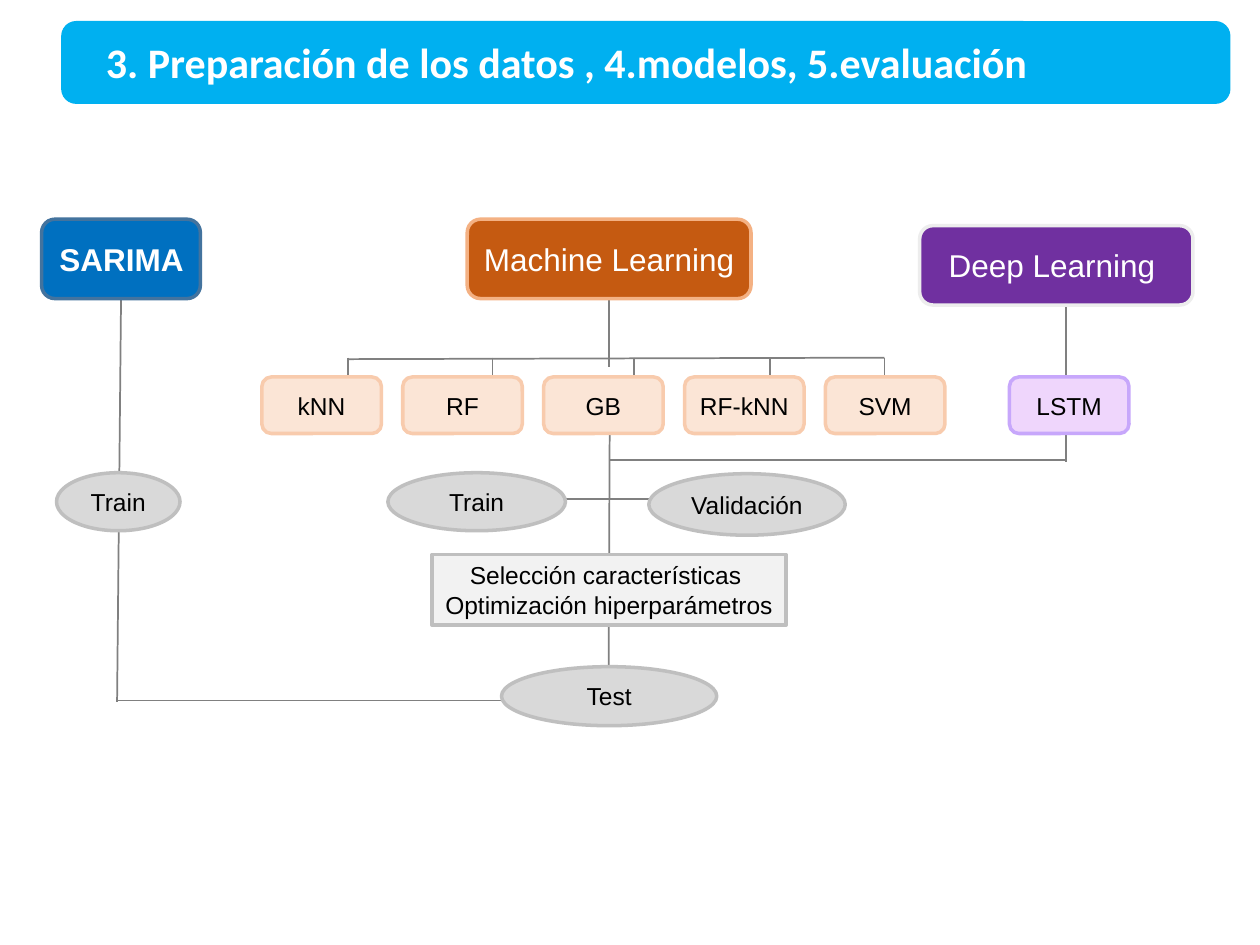
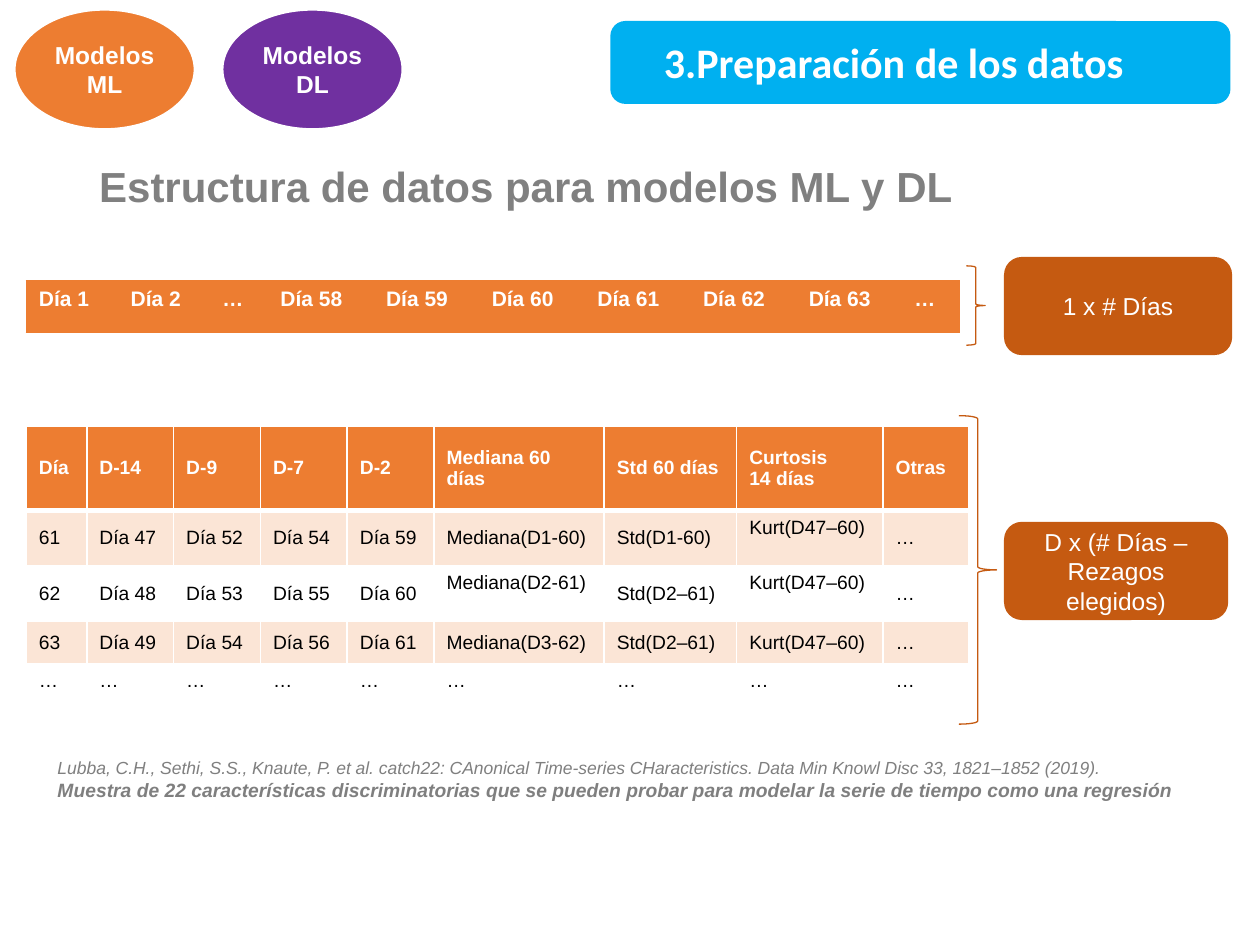
from lxml import etree
from pptx import Presentation
from pptx.dml.color import RGBColor
from pptx.enum.shapes import MSO_CONNECTOR, MSO_SHAPE as Shape
from pptx.enum.text import MSO_ANCHOR as Anchor, PP_ALIGN as Align
from pptx.oxml.ns import qn
from pptx.util import Cm, Pt

COLORS = {
    "band": "00B0F0", "white": "FFFFFF", "black": "000000",
    "heading": "808080", "connector": "808080", "source": "7F7F7F",
    "sarima": "0070C0", "sarima_edge": "43739E",
    "rust": "C55A11", "rust_edge": "F4B183",
    "purple": "7030A0", "purple_edge": "EDEDED",
    "peach": "FBE5D6", "peach_edge": "F8CBAD",
    "lilac": "EFD6FC", "lilac_edge": "C7A7FB",
    "oval": "D9D9D9", "gray_edge": "BFBFBF", "step": "F2F2F2",
    "orange": "ED7D31",
}
BAND_RIGHT = 24.77
TABLE_LEFT = 0.53

MODELS = ["kNN", "RF", "GB", "RF-kNN", "SVM"]
MODEL_LEFT, MODEL_STEP, MODEL_TOP = 5.28, 2.84, 7.6
MODEL_SIZE = (2.41, 1.14)
DROP_XS = [7.01, 9.93, 12.78, 15.52, 17.83]
BUS_Y = 7.21
TRUNK_X, LSTM_X = 12.27, 21.49

DAYS = ["Día 1", "Día 2", "…", "Día 58", "Día 59", "Día 60",
        "Día 61", "Día 62", "Día 63", "…"]
DAY_WIDTHS = [1.85, 1.85, 1.17] + [2.13] * 6 + [1.17]
FEATURES = [
    ["Día", "D-14", "D-9", "D-7", "D-2", "Mediana 60 días", "Std 60 días",
     "Curtosis\n14 días", "Otras"],
    ["61", "Día 47", "Día 52", "Día 54", "Día 59", "Mediana(D1-60)",
     "Std(D1-60)", "Kurt(D47–60)", "…"],
    ["62", "Día 48", "Día 53", "Día 55", "Día 60", "Mediana(D2-61)",
     "Std(D2–61)", "Kurt(D47–60)", "…"],
    ["63", "Día 49", "Día 54", "Día 56", "Día 61", "Mediana(D3-62)",
     "Std(D2–61)", "Kurt(D47–60)", "…"],
    ["…"] * 9,
]
FEATURE_WIDTHS = [1.22] + [1.75] * 4 + [3.43, 2.67, 2.95, 1.73]
FEATURE_HEIGHTS = [1.7, 1.12, 1.12, 0.85, 0.85]
TOP_CELLS = {(1, 7), (2, 5), (2, 7)}


def rgb(name):
    return RGBColor.from_string(COLORS[name])


def style_paragraph(para, size, color, bold=False, italic=False, font="Arial"):
    for span in para.runs:
        span.font.name = font
        span.font.size = Pt(size)
        span.font.bold = bold
        span.font.italic = italic
        span.font.color.rgb = rgb(color)


def write(frame, text, size, color, bold=False, align=Align.LEFT,
          font="Arial"):
    frame.text = text
    for para in frame.paragraphs:
        para.alignment = align
        style_paragraph(para, size, color, bold, font=font)


def add_box(slide, kind, place, fill=None, edge=None, edge_width=2):
    box = slide.shapes.add_shape(kind, *map(Cm, place))
    box.shadow.inherit = False
    if fill:
        box.fill.solid()
        box.fill.fore_color.rgb = rgb(fill)
    else:
        box.fill.background()
    if edge:
        box.line.color.rgb = rgb(edge)
        box.line.width = Pt(edge_width)
    else:
        box.line.fill.background()
    return box


def add_label(slide, kind, place, text, fill, edge=None, size=14,
              color="black", bold=False, margin=0.25):
    box = add_box(slide, kind, place, fill, edge)
    frame = box.text_frame
    frame.word_wrap = True
    frame.vertical_anchor = Anchor.MIDDLE
    frame.margin_left = frame.margin_right = Cm(margin)
    write(frame, text, size, color, bold, Align.CENTER)
    return box


def add_text(slide, place, text, size, color, bold=False):
    box = slide.shapes.add_textbox(*map(Cm, place))
    box.text_frame.word_wrap = True
    write(box.text_frame, text, size, color, bold)
    return box


def add_line(slide, x1, y1, x2, y2):
    line = slide.shapes.add_connector(
        MSO_CONNECTOR.STRAIGHT, Cm(x1), Cm(y1), Cm(x2), Cm(y2))
    line.line.color.rgb = rgb("connector")
    line.line.width = Pt(1)
    etree.SubElement(line._element.spPr, qn("a:effectLst"))


def add_brace(slide, place):
    brace = add_box(slide, Shape.RIGHT_BRACE, place, edge="rust",
                    edge_width=0.75)
    brace.adjustments[0] = 0.083


def add_size_tag(slide, place, text):
    tag = add_label(slide, Shape.ROUNDED_RECTANGLE, place, text, "rust",
                    color="white")
    tag.adjustments[0] = 0.182


def add_titled_slide(deck, title, band_left, title_left):
    slide = deck.slides.add_slide(deck.slide_layouts[5])
    band = add_box(slide, Shape.ROUNDED_RECTANGLE,
                   (band_left, 0.46, BAND_RIGHT - band_left, 1.6),
                   "band", "band")
    holder = slide.shapes.title
    band._element.addnext(holder._element)
    holder.left, holder.top = Cm(title_left), Cm(0.61)
    holder.width, holder.height = Cm(24.61 - title_left), Cm(1.27)
    holder.text_frame.vertical_anchor = Anchor.MIDDLE
    write(holder.text_frame, title, 24, "white", True, font="Calibri")
    return slide


def set_borders(cell, color, widths):
    properties = cell._tc.get_or_add_tcPr()
    for side, width in zip("LRTB", widths):
        line = etree.SubElement(properties, qn(f"a:ln{side}"),
                                w=str(Pt(width)))
        fill = etree.SubElement(line, qn("a:solidFill"))
        etree.SubElement(fill, qn("a:srgbClr"), val=COLORS[color])


def fill_cell(cell, text, fill, size, color, bold, anchor):
    cell.fill.solid()
    cell.fill.fore_color.rgb = rgb(fill)
    cell.vertical_anchor = anchor
    write(cell.text_frame, text, size, color, bold)


def add_grid(slide, top, widths, heights):
    frame = slide.shapes.add_table(
        len(heights), len(widths), Cm(TABLE_LEFT), Cm(top),
        Cm(sum(widths)), Cm(sum(heights)))
    table = frame.table
    table.horz_banding = False
    for column, width in zip(table.columns, widths):
        column.width = Cm(width)
    for row, height in zip(table.rows, heights):
        row.height = Cm(height)
    return table


def add_day_strip(slide):
    table = add_grid(slide, 5.66, DAY_WIDTHS, [1.04])
    for column, day in enumerate(DAYS):
        cell = table.cell(0, column)
        set_borders(cell, "orange", [0.75] * 4)
        fill_cell(cell, day, "orange", 12, "white", True, Anchor.TOP)


def add_feature_table(slide):
    table = add_grid(slide, 8.59, FEATURE_WIDTHS, FEATURE_HEIGHTS)
    last = len(FEATURES) - 1
    for row, texts in enumerate(FEATURES):
        header = row == 0
        fill = "orange" if header else "peach" if row % 2 else "white"
        widths = [1, 1, 3 if row == 1 else 1, 3 if header else 1]
        for column, text in enumerate(texts):
            at_top = row == last or (row, column) in TOP_CELLS
            cell = table.cell(row, column)
            set_borders(cell, "white", widths)
            fill_cell(cell, text, fill, 11, "white" if header else "black",
                      header, Anchor.TOP if at_top else Anchor.MIDDLE)


def add_flow_lines(slide):
    for ends in [
        (LSTM_X, 5.94, LSTM_X, 9.32),
        (LSTM_X, 9.27, TRUNK_X, 9.27),
        (12.29, 8.76, TRUNK_X, 13.44),
        (14.73, 10.06, 10.46, 10.06),
        (TRUNK_X, 6.02, TRUNK_X, 7.39),
        (DROP_XS[0], 7.24, DROP_XS[-1], BUS_Y),
        (2.44, 6.02, 2.36, 14.15),
        (2.36, 14.12, 12.19, 14.12),
    ]:
        add_line(slide, *ends)
    for x in DROP_XS:
        add_line(slide, x, BUS_Y, x, MODEL_TOP)


def build_model_flow(deck):
    slide = add_titled_slide(
        deck, "3. Preparación de los datos , 4.modelos, 5.evaluación",
        1.27, 1.88)
    add_flow_lines(slide)
    rounded = Shape.ROUNDED_RECTANGLE
    for place, text, fill, bold in [
        ((0.84, 4.42, 3.2, 1.6), "SARIMA ", "sarima", True),
        ((9.42, 4.42, 5.72, 1.6), "Machine Learning ", "rust", False),
        ((18.54, 4.55, 5.51, 1.6), "Deep Learning ", "purple", False),
    ]:
        add_label(slide, rounded, place, text, fill, f"{fill}_edge", 18,
                  "white", bold)
    for index, model in enumerate(MODELS):
        left = MODEL_LEFT + index * MODEL_STEP
        add_label(slide, rounded, (left, MODEL_TOP, *MODEL_SIZE), model,
                  "peach", "peach_edge")
    add_label(slide, rounded, (20.35, MODEL_TOP, *MODEL_SIZE), "LSTM",
              "lilac", "lilac_edge")
    for place, text in [
        ((1.14, 9.53, 2.49, 1.17), "Train"),
        ((7.82, 9.53, 3.58, 1.17), "Train"),
        ((13.08, 9.55, 3.96, 1.24), "Validación"),
        ((10.11, 13.44, 4.34, 1.19), "Test"),
    ]:
        add_label(slide, Shape.OVAL, place, text, "oval", "gray_edge")
    add_label(slide, Shape.RECTANGLE, (8.71, 11.18, 7.14, 1.42),
              "Selección características \nOptimización hiperparámetros",
              "step", "gray_edge", margin=0.15)


def build_data_structure(deck):
    slide = add_titled_slide(deck, "3.Preparación de los datos", 12.34, 13.13)
    for left, family, fill in [(0.28, "ML", "orange"), (4.47, "DL", "purple")]:
        add_label(slide, Shape.OVAL, (left, 0.18, 3.66, 2.44),
                  f"Modelos \n{family}", fill, "white", color="white",
                  bold=True)
    add_text(slide, (1.75, 3.12, 20.22, 1.27),
             "Estructura de datos para modelos ML y DL", 24, "heading", True)
    add_day_strip(slide)
    add_brace(slide, (19.48, 5.36, 0.38, 1.6))
    add_size_tag(slide, (20.24, 5.18, 4.6, 1.98), "1 x # Días")
    add_feature_table(slide)
    add_size_tag(slide, (20.24, 10.52, 4.52, 1.98),
                 "D x (# Días – Rezagos elegidos)")
    add_brace(slide, (19.33, 8.38, 0.76, 6.22))
    note = add_text(
        slide, (0.91, 15.14, 23.6, 1.14),
        "Lubba, C.H., Sethi, S.S., Knaute, P. et al. catch22: CAnonical "
        "Time-series CHaracteristics. Data Min Knowl Disc 33, 1821–1852 "
        "(2019).\nMuestra de 22 características discriminatorias que se "
        "pueden probar para modelar la serie de tiempo como una regresión",
        10, "source")
    citation, remark = note.text_frame.paragraphs
    style_paragraph(citation, 10, "source", italic=True)
    style_paragraph(remark, 11, "source", bold=True, italic=True)


def main():
    deck = Presentation()
    deck.slide_width, deck.slide_height = Cm(25.4), Cm(19.05)
    build_model_flow(deck)
    build_data_structure(deck)
    deck.save("out.pptx")


if __name__ == "__main__":
    main()
